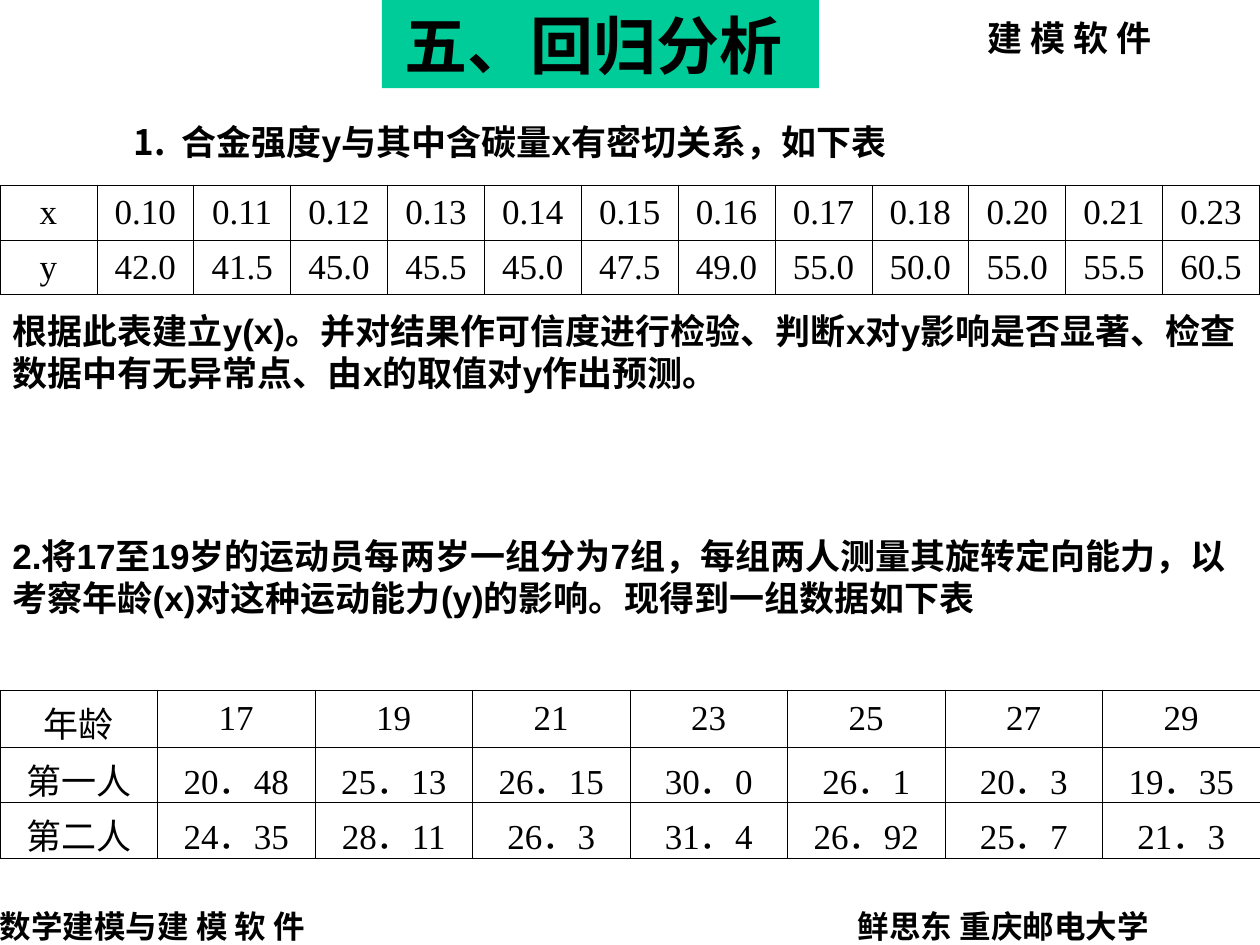
from lxml.etree import SubElement
from pptx import Presentation
from pptx.dml.color import RGBColor
from pptx.enum.text import MSO_ANCHOR, MSO_AUTO_SIZE, PP_ALIGN
from pptx.oxml import parse_xml
from pptx.oxml.ns import nsdecls, qn
from pptx.util import Inches, Pt

BLACK = RGBColor(0x00, 0x00, 0x00)
GREEN = RGBColor(0x00, 0xCC, 0x99)
HEADER_FONT = "Noto Sans CJK SC"
FOOTER_FONT = "Noto Sans CJK JP"


def format_paragraph(paragraph, size, name, bold=True, align=PP_ALIGN.LEFT):
    paragraph.alignment = align
    paragraph.space_before = Pt(0)
    font = paragraph.font
    font.size = Pt(size)
    font.bold = bold
    font.color.rgb = BLACK
    font.name = name
    if "CJK" in name:
        defaults = paragraph._p.pPr.find(qn("a:defRPr"))
        SubElement(defaults, qn("a:ea")).set("typeface", name)


def add_grid(page, top, heights, rows):
    columns = len(rows[0])
    frame = page.shapes.add_table(len(rows), columns, Inches(0), Inches(top),
                                  Inches(10), Inches(sum(heights)))
    table = frame.table
    table.first_row = table.horz_banding = False
    for column in table.columns:
        column.width = Inches(10 / columns)
    for row, height, values in zip(table.rows, heights, rows):
        row.height = Inches(height)
        for cell, value in zip(row.cells, values):
            cell.text = value
            cell.vertical_anchor = MSO_ANCHOR.MIDDLE
            cell.fill.background()
            format_paragraph(cell.text_frame.paragraphs[0], 20,
                             "Times New Roman", False, PP_ALIGN.CENTER)
            for index, side in enumerate(("lnL", "lnR", "lnT", "lnB")):
                border = parse_xml(
                    f'<a:{side} {nsdecls("a")} w="{Pt(0.45)}"><a:solidFill>'
                    f'<a:srgbClr val="{BLACK}"/></a:solidFill></a:{side}>')
                cell._tc.get_or_add_tcPr().insert(index, border)


deck = Presentation()
deck.slide_width = Inches(10)
deck.slide_height = Inches(7.5)
page = deck.slides.add_slide(deck.slide_layouts[1])

title = page.shapes.title
title.left, title.top = Inches(3.03), Inches(0)
title.width, title.height = Inches(3.47), Inches(0.7)
title.fill.solid()
title.fill.fore_color.rgb = GREEN
title.text_frame.text = "五、回归分析 "
title.text_frame.vertical_anchor = MSO_ANCHOR.MIDDLE
title.text_frame.auto_size = MSO_AUTO_SIZE.NONE
format_paragraph(title.text_frame.paragraphs[0], 36, "Arial",
                 align=PP_ALIGN.CENTER)

problem = page.placeholders[1]
problem.left, problem.top = Inches(0.96), Inches(0.9)
problem.width, problem.height = Inches(6.44), Inches(0.44)
frame = problem.text_frame
frame.text = "合金强度y与其中含碳量x有密切关系，如下表"
frame.vertical_anchor = MSO_ANCHOR.MIDDLE
frame.word_wrap = False
frame.auto_size = MSO_AUTO_SIZE.SHAPE_TO_FIT_TEXT
numbered = frame.paragraphs[0]
properties = numbered._p.get_or_add_pPr()
properties.set("marL", str(Inches(0.38)))
properties.set("indent", str(Inches(-0.38)))
SubElement(properties, qn("a:buFont")).set("typeface", "Arial")
SubElement(properties, qn("a:buAutoNum")).set("type", "arabicPeriod")
format_paragraph(numbered, 20, "Arial")

texts = [
    (7.84, 0.13, 1.75, 0.33, 0, 20, HEADER_FONT, "建 模 软 件"),
    (0, 7.2, 2.87, 0.3, 0, 18, FOOTER_FONT, "数学建模与建 模 软 件"),
    (6.81, 7.2, 2.87, 0.3, 0, 18, HEADER_FONT, "鲜思东 重庆邮电大学"),
    (0, 2.41, 10, 0.77, 0.1, 20, "Arial",
     "根据此表建立y(x)。并对结果作可信度进行检验、判断x对y影响是否显著、"
     "检查数据中有无异常点、由x的取值对y作出预测。"),
    (0, 4.19, 10, 0.77, 0.1, 20, "Arial",
     "2.将17至19岁的运动员每两岁一组分为7组，每组两人测量其旋转定向能力，"
     "以考察年龄(x)对这种运动能力(y)的影响。现得到一组数据如下表"),
]
for left, top, width, height, inset, size, name, text in texts:
    box = page.shapes.add_textbox(Inches(left), Inches(top),
                                  Inches(width), Inches(height))
    frame = box.text_frame
    frame.word_wrap = True
    frame.margin_left = frame.margin_right = Inches(inset)
    frame.margin_top = frame.margin_bottom = Inches(inset / 2)
    frame.text = text
    format_paragraph(frame.paragraphs[0], size, name)

add_grid(page, 1.47, [0.43, 0.43], [
    ["x", "0.10", "0.11", "0.12", "0.13", "0.14", "0.15", "0.16", "0.17",
     "0.18", "0.20", "0.21", "0.23"],
    ["y", "42.0", "41.5", "45.0", "45.5", "45.0", "47.5", "49.0", "55.0",
     "50.0", "55.0", "55.5", "60.5"],
])
add_grid(page, 5.48, [0.45, 0.44, 0.44], [
    ["年龄", "17", "19", "21", "23", "25", "27", "29"],
    ["第一人", "20．48", "25．13", "26．15", "30．0", "26．1", "20．3", "19．35"],
    ["第二人", "24．35", "28．11", "26．3", "31．4", "26．92", "25．7", "21．3"],
])

deck.save("out.pptx")
